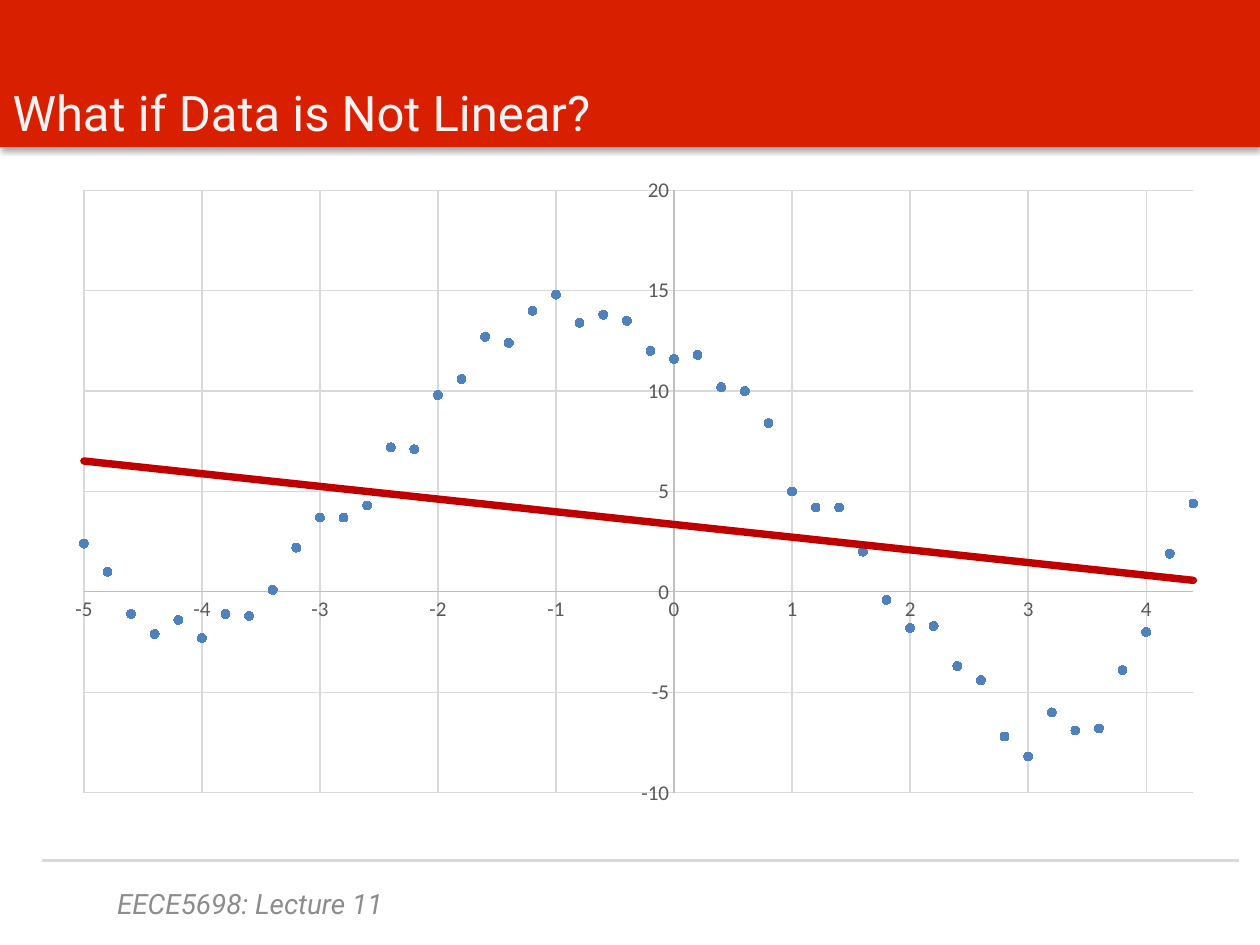
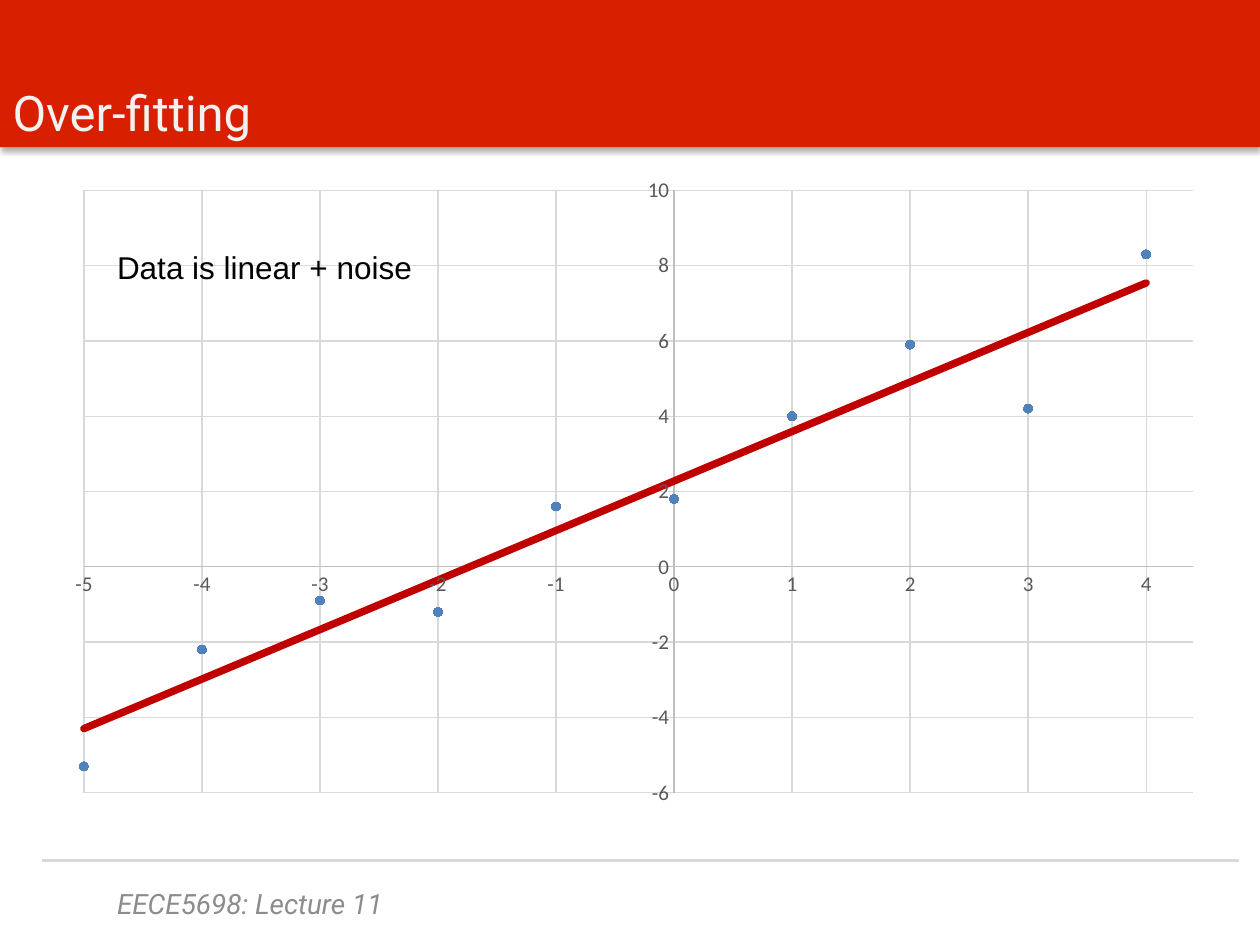
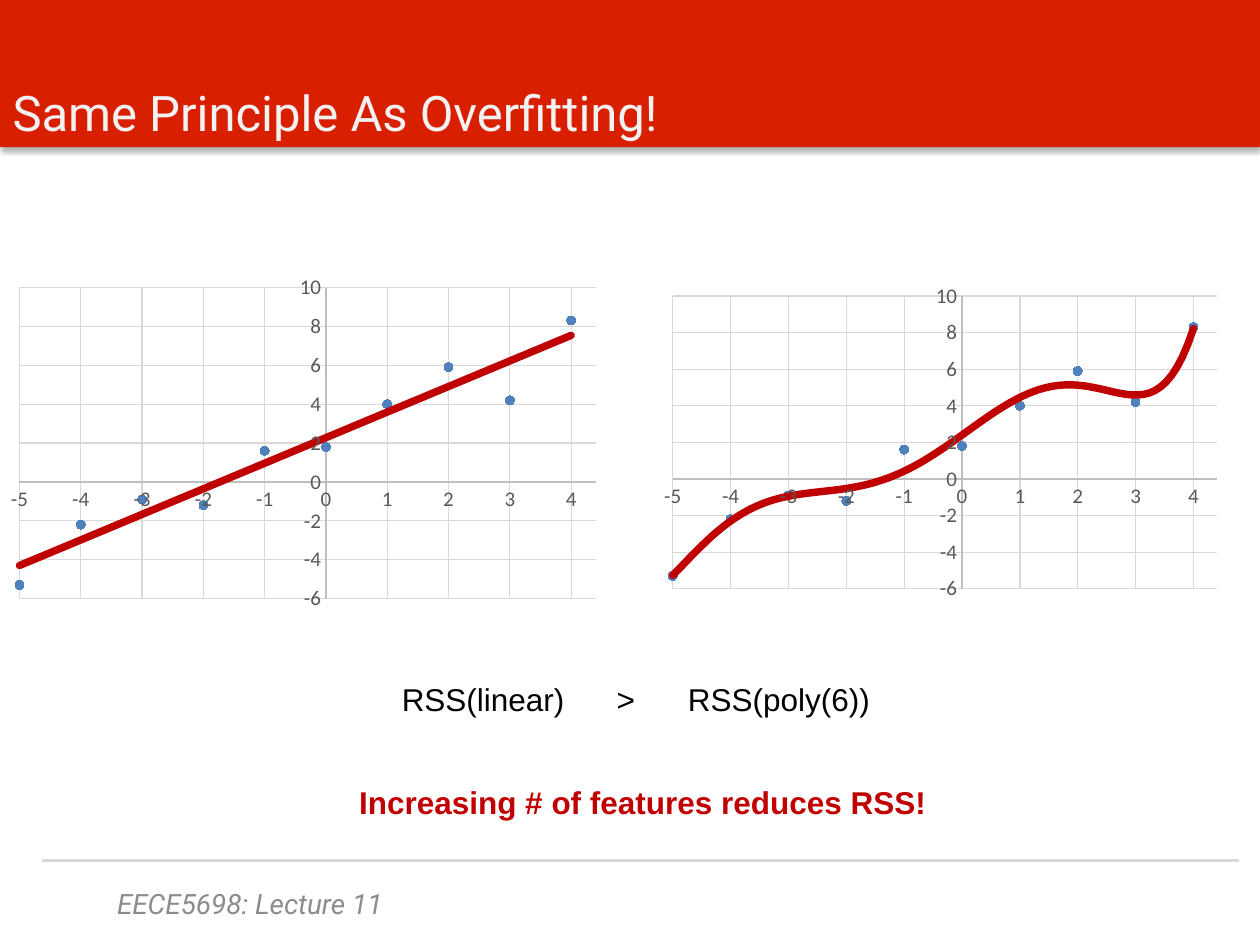
"""Build three lecture slides on linear fits and over-fitting."""
from pptx import Presentation
from pptx.chart.data import XyChartData
from pptx.dml.color import RGBColor
from pptx.enum.chart import XL_CHART_TYPE as ChartType, XL_MARKER_STYLE as Marker
from pptx.enum.chart import XL_TICK_MARK as TickMark
from pptx.enum.shapes import MSO_CONNECTOR as Connector, MSO_SHAPE as Shape
from pptx.enum.text import MSO_ANCHOR as Anchor, MSO_AUTO_SIZE as AutoSize, PP_ALIGN as Align
from pptx.oxml import parse_xml
from pptx.oxml.ns import nsdecls
from pptx.util import Cm, Pt

RED, DARK_RED, BLUE = "D81F00", "C00000", "4F81BD"
RULE_GREY, AXIS_GREY, LABEL_GREY = "D9D9D9", "BFBFBF", "595959"

BAND_BOX = (0, 0, 25.4, 2.97)
RULE_ENDS = (0.84, 17.35, 24.97, 17.35)
FOOTER = "EECE5698: Lecture 11"
FOOTER_BOX = (2.11, 17.7, 15.29, 1.02)

TITLE_FONT = {"name": "Roboto", "size": Pt(28), "color": "F2F2F2"}
FOOTER_FONT = {"name": "Roboto", "size": Pt(16), "italic": True, "color": "8C8C8C"}
NOTE_FONT = {"name": "Arial", "size": Pt(18), "color": "000000"}
CONCLUSION_FONT = {**NOTE_FONT, "bold": True, "color": DARK_RED}
LABEL_FONT = {"name": "Calibri", "size": Pt(12), "color": LABEL_GREY}

CURVED = {
    "step": 0.2,
    "values": [2.4, 1, -1.1, -2.1, -1.4, -2.3, -1.1, -1.2, 0.1, 2.2, 3.7, 3.7,
               4.3, 7.2, 7.1, 9.8, 10.6, 12.7, 12.4, 14, 14.8, 13.4, 13.8, 13.5,
               12, 11.6, 11.8, 10.2, 10, 8.4, 5, 4.2, 4.2, 2, -0.4, -1.8,
               -1.7, -3.7, -4.4, -7.2, -8.2, -6, -6.9, -6.8, -3.9, -2, 1.9, 4.4],
    "scale": (-10, 20, 5),
}
NOISY_LINE = {
    "step": 1,
    "values": [-5.3, -2.2, -0.9, -1.2, 1.6, 1.8, 4, 5.9, 4.2, 8.3],
    "scale": (-6, 10, 2),
}
FIRST_X = -5
X_SCALE = (FIRST_X, 4.4, 1)

FULL_BOX = (1.24, 3.38, 23.72, 13.06)
LEFT_BOX = (0, 5.54, 12.32, 6.78)
RIGHT_BOX = (13.34, 5.72, 11.63, 6.4)
PLOT_AREA = (0.019, 0.035, 0.943, 0.93)
LEFT_PLOT_AREA = (0.032, 0.038, 0.943, 0.93)
LINEAR = '<c:trendlineType val="linear"/>'
POLY_6 = '<c:trendlineType val="poly"/><c:order val="6"/>'

SLIDES = [
    {"title": "What if Data is Not Linear?",
     "fits": [(CURVED, LINEAR, FULL_BOX, PLOT_AREA)],
     "notes": []},
    {"title": "Over-fitting",
     "fits": [(NOISY_LINE, LINEAR, FULL_BOX, PLOT_AREA)],
     "notes": [("Data is linear + noise", (2.11, 4.88, 6.78, 1.02), NOTE_FONT, ())]},
    {"title": "Same Principle As Overfitting!",
     "fits": [(NOISY_LINE, LINEAR, LEFT_BOX, LEFT_PLOT_AREA),
              (NOISY_LINE, POLY_6, RIGHT_BOX, PLOT_AREA)],
     "notes": [("RSS(linear)\t>\tRSS(poly(6))", (7.85, 13.59, 10.6, 1.02), NOTE_FONT,
                (4.33, 5.77)),
               ("Increasing # of features reduces RSS!", (6.99, 15.67, 12.9, 1.02),
                CONCLUSION_FONT, ())]},
]


def rgb(color):
    """Turn a hex string into a colour."""
    return RGBColor.from_string(color)


def cm(lengths):
    """Turn centimetre numbers into lengths."""
    return [Cm(length) for length in lengths]


def set_font(font, values):
    """Apply a dict of font values."""
    for key, value in values.items():
        if key == "color":
            font.color.rgb = rgb(value)
        else:
            setattr(font, key, value)


def set_line(line, color, width):
    """Give a line its colour and width in points."""
    line.color.rgb = rgb(color)
    line.width = Pt(width)


def add_band(slide):
    """Put the shadowed red band behind everything else."""
    band = slide.shapes.add_shape(Shape.RECTANGLE, *cm(BAND_BOX))
    band.fill.solid()
    band.fill.fore_color.rgb = rgb(RED)
    band.line.fill.background()
    band._element.spPr.append(parse_xml(
        f'<a:effectLst {nsdecls("a")}><a:outerShdw blurRad="{Pt(3.1)}" dist="{Pt(1.8)}" '
        'dir="5400000" rotWithShape="0"><a:srgbClr val="000000"><a:alpha val="35000"/>'
        '</a:srgbClr></a:outerShdw></a:effectLst>'))
    slide.shapes._spTree.insert(2, band._element)


def add_rule(slide):
    """Draw the grey rule above the footer."""
    rule = slide.shapes.add_connector(Connector.STRAIGHT, *cm(RULE_ENDS))
    set_line(rule.line, RULE_GREY, 2)
    rule._element.spPr.append(parse_xml(f'<a:effectLst {nsdecls("a")}/>'))


def add_title(slide, text):
    """Fill the title placeholder and lay it over the band."""
    title = slide.shapes.title
    title.left, title.top, title.width, title.height = cm(BAND_BOX)
    frame = title.text_frame
    frame.text = text
    frame.auto_size = AutoSize.NONE
    frame.vertical_anchor = Anchor.BOTTOM
    frame.paragraphs[0].alignment = Align.LEFT
    set_font(frame.paragraphs[0].runs[0].font, TITLE_FONT)


def add_note(slide, text, box, font, tabs=(), anchor=Anchor.TOP):
    """Add one line of text, with optional tab stops in centimetres."""
    frame = slide.shapes.add_textbox(*cm(box)).text_frame
    frame.word_wrap = True
    frame.vertical_anchor = anchor
    line = frame.paragraphs[0]
    if tabs:
        stops = "".join(f'<a:tab pos="{Cm(tab)}" algn="l"/>' for tab in tabs)
        line._p.get_or_add_pPr().append(
            parse_xml(f'<a:tabLst {nsdecls("a")}>{stops}</a:tabLst>'))
    run = line.add_run()
    run.text = text
    set_font(run.font, font)


def set_axis(axis, scale):
    """Scale an axis and style its line and grid."""
    axis.minimum_scale, axis.maximum_scale, axis.major_unit = scale
    axis.major_tick_mark = axis.minor_tick_mark = TickMark.NONE
    axis.has_major_gridlines = True
    set_line(axis.major_gridlines.format.line, RULE_GREY, 0.75)
    set_line(axis.format.line, AXIS_GREY, 0.75)
    set_font(axis.tick_labels.font, LABEL_FONT)


def place_plot(chart, area):
    """Fix the inner plot area as fractions of the chart."""
    plot_area = chart._chartSpace.chart.plotArea
    for layout in plot_area.xpath("c:layout"):
        plot_area.remove(layout)
    places = "".join(f'<c:{key} val="{value}"/>' for key, value in zip("xywh", area))
    plot_area.insert(0, parse_xml(
        f'<c:layout {nsdecls("c")}><c:manualLayout><c:layoutTarget val="inner"/>'
        f'<c:xMode val="edge"/><c:yMode val="edge"/>{places}</c:manualLayout></c:layout>'))


def add_trend(points, kind):
    """Add a fitted trend line to a series."""
    points._element.xpath("c:xVal")[0].addprevious(parse_xml(
        f'<c:trendline {nsdecls("c", "a")}><c:spPr><a:ln w="{Pt(4.25)}" cap="rnd">'
        f'<a:solidFill><a:srgbClr val="{DARK_RED}"/></a:solidFill></a:ln></c:spPr>'
        f'{kind}<c:dispRSqr val="0"/><c:dispEq val="0"/></c:trendline>'))


def add_fit(slide, sample, trend, box, area):
    """Add a scatter chart of a sample with its fit."""
    data = XyChartData()
    samples = data.add_series("Series 1")
    for index, value in enumerate(sample["values"]):
        samples.add_data_point(round(FIRST_X + index * sample["step"], 1), value)
    chart = slide.shapes.add_chart(ChartType.XY_SCATTER, *cm(box), data).chart
    chart.has_legend = chart.has_title = False
    set_font(chart.font, LABEL_FONT)
    set_axis(chart.category_axis, X_SCALE)
    set_axis(chart.value_axis, sample["scale"])
    place_plot(chart, area)
    plot = chart.plots[0]
    plot.vary_by_categories = False
    points = plot.series[0]
    points.format.line.fill.background()
    points.marker.style, points.marker.size = Marker.CIRCLE, 5
    points.marker.format.fill.solid()
    points.marker.format.fill.fore_color.rgb = rgb(BLUE)
    set_line(points.marker.format.line, BLUE, 0.75)
    add_trend(points, trend)


def main():
    """Build and save the slides."""
    deck = Presentation()
    deck.slide_width, deck.slide_height = Cm(25.4), Cm(19.05)
    for content in SLIDES:
        slide = deck.slides.add_slide(deck.slide_layouts.get_by_name("Title Only"))
        add_band(slide)
        add_rule(slide)
        add_title(slide, content["title"])
        add_note(slide, FOOTER, FOOTER_BOX, FOOTER_FONT, anchor=Anchor.MIDDLE)
        for fit in content["fits"]:
            add_fit(slide, *fit)
        for note in content["notes"]:
            add_note(slide, *note)
    deck.save("out.pptx")


if __name__ == "__main__":
    main()
